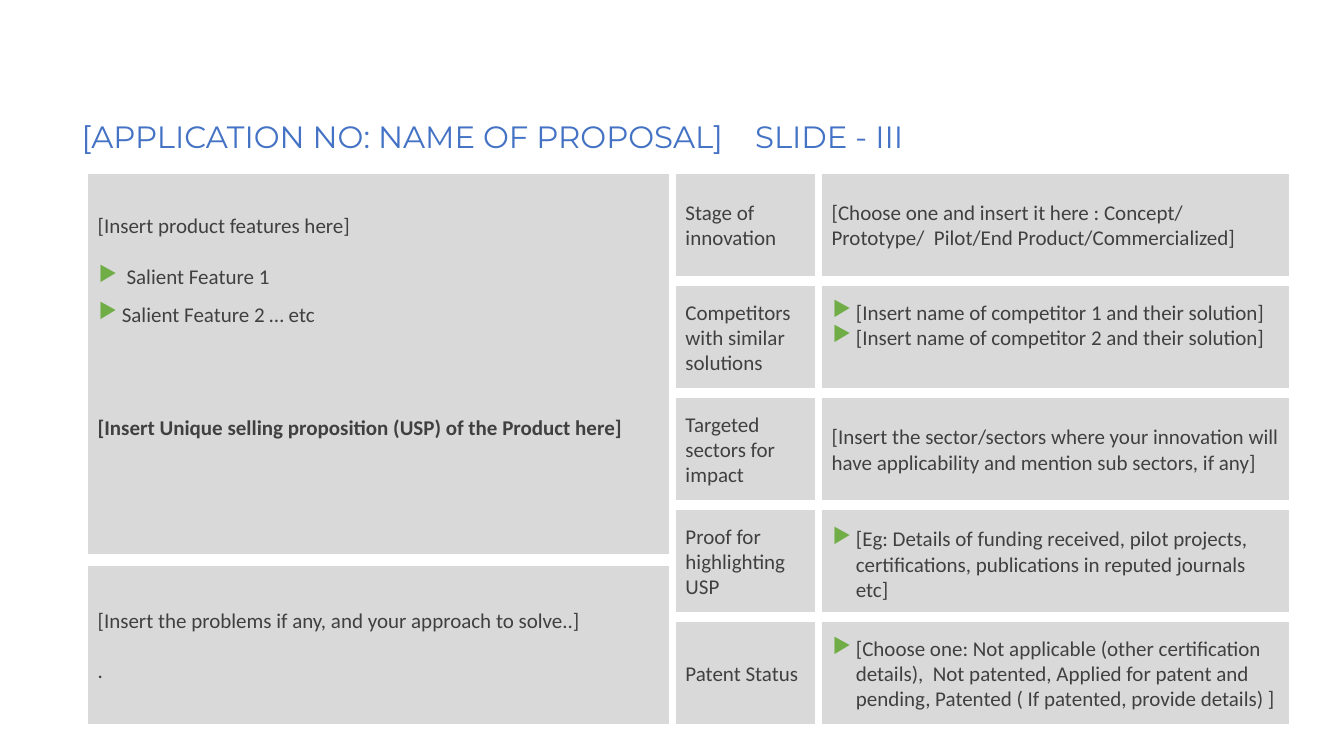
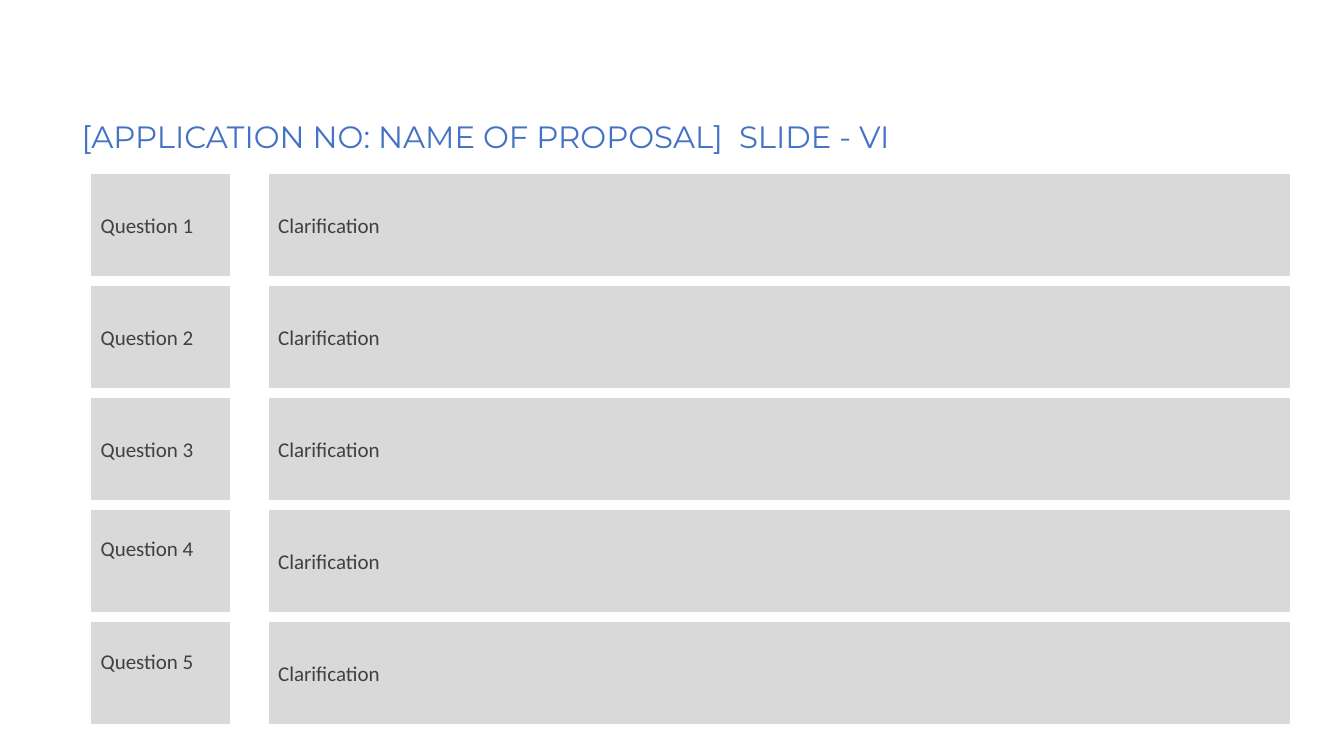
from lxml import etree
from pptx import Presentation
from pptx import util as u
from pptx.dml.color import RGBColor
from pptx.enum import shapes, text
from pptx.oxml.ns import qn

BLUE, GREEN, GREY, INK, WHITE = "4472C4", "70AD47", "D9D9D9", "404040", "FFFFFF"
colour = RGBColor.from_string

# Shared row grid
TOP, BOTTOM, ROW_HEIGHT, ROW_COUNT = 1.72, 7.19, 1.02, 5
PITCH = (BOTTOM - ROW_HEIGHT - TOP) / (ROW_COUNT - 1)
row_tops = [TOP + PITCH * row for row in range(ROW_COUNT)]
LABEL_WIDTH = 1.39
LINE = 0.25  # height of one line of card text


def write(para, words, size=15, face="Calibri", ink=INK, bold=False,
          after=0, spacing=1.0, bullet=False, tab=None):
    para.alignment = text.PP_ALIGN.LEFT
    para.line_spacing = spacing
    para.space_before, para.space_after = u.Pt(0), u.Pt(after)
    span = para.add_run()
    span.text = words
    span.font.size, span.font.name, span.font.bold = u.Pt(size), face, bold
    span.font.color.rgb = colour(ink)
    props = para._p.get_or_add_pPr()
    if bullet:
        props.set("marL", str(u.Inches(0.24)))
        props.set("indent", str(u.Inches(-0.23)))
        tint = etree.SubElement(props, qn("a:buClr"))
        etree.SubElement(tint, qn("a:srgbClr"), val=GREEN)
        etree.SubElement(props, qn("a:buChar"), char="▶")
    if tab:
        stops = etree.SubElement(props, qn("a:tabLst"))
        etree.SubElement(stops, qn("a:tab"), pos=str(u.Inches(tab)), algn="l")


def add_card(page, left, top, width, height, lines, above=0.05, below=0.05):
    box = page.shapes.add_shape(shapes.MSO_SHAPE.RECTANGLE, u.Inches(left), u.Inches(top),
                                u.Inches(width), u.Inches(height))
    box.shadow.inherit = False
    box.fill.solid()
    box.fill.fore_color.rgb = colour(GREY)
    box.line.color.rgb = colour(WHITE)
    box.line.width = u.Pt(0.74)
    frame = box.text_frame
    frame.word_wrap = True
    frame.vertical_anchor = text.MSO_ANCHOR.MIDDLE
    frame.margin_left = frame.margin_right = u.Inches(0.1)
    frame.margin_top, frame.margin_bottom = u.Inches(above), u.Inches(below)
    for number, (words, style) in enumerate(lines):
        para = frame.add_paragraph() if number else frame.paragraphs[0]
        write(para, words, **style)


deck = Presentation()
deck.slide_width, deck.slide_height = u.Inches(13.33), u.Inches(7.5)

# Pages with their titles
pages = []
for slide_name, tab in [("SLIDE - III", 6.68), ("SLIDE - VI", 6.52)]:
    page = deck.slides.add_slide(deck.slide_layouts[5])
    title = page.shapes.title
    title.left, title.top = u.Inches(0.71), u.Inches(1.16)
    title.width, title.height = u.Inches(10.51), u.Inches(0.35)
    title.text_frame.auto_size = text.MSO_AUTO_SIZE.NONE
    title.text_frame.vertical_anchor = text.MSO_ANCHOR.TOP
    write(title.text_frame.paragraphs[0], f"[APPLICATION NO: NAME OF PROPOSAL]\t{slide_name}",
          size=22, face="Montserrat", ink=BLUE, spacing=0.9, tab=tab)
    pages.append(page)
product_page, question_page = pages

# Product features and problems
add_card(product_page, 0.87, TOP, 5.77, 3.78, [
    ("[Insert product features here]", dict(after=18.3)),
    (" Salient Feature 1", dict(bullet=True, after=8.7)),
    ("Salient Feature 2 … etc", dict(bullet=True, after=62.7)),
    ("[Insert Unique selling proposition (USP) of the Product here]", dict(bold=True)),
], below=0.8)
add_card(product_page, 0.87, 5.61, 5.77, 1.58, [
    ("[Insert the problems if any, and your approach to solve..]", dict(after=18.3)),
    (".", {}),
])

# Innovation details: label, lines, bulleted, top inset, bottom inset
details = [
    ("Stage of innovation",
     ["[Choose one and insert it here : Concept/ Prototype/  Pilot/End Product/Commercialized]"],
     False, 0.05, 0.05),
    ("Competitors with similar solutions",
     ["[Insert name of competitor 1 and their solution]",
      "[Insert name of competitor 2 and their solution]"],
     True, 0.05, 0.05 + LINE),
    ("Targeted sectors for impact",
     ["[Insert the sector/sectors where your innovation will have applicability "
      "and mention sub sectors, if any]"],
     False, 0.05, 0.05),
    ("Proof for highlighting USP",
     ["[Eg: Details of funding received, pilot projects, certifications, "
      "publications in reputed journals etc]"],
     True, 0.1, 0.05),
    ("Patent Status",
     ["[Choose one: Not applicable (other certification details),\u00a0 Not patented, "
      "Applied for patent and pending, Patented ( If patented, provide details) ]"],
     True, 0.05, 0.05),
]
for top, (label, lines, bulleted, above, below) in zip(row_tops, details):
    add_card(product_page, 6.7, top, LABEL_WIDTH, ROW_HEIGHT, [(label, {})])
    add_card(product_page, 8.15, top, 4.64, ROW_HEIGHT,
             [(words, dict(bullet=bulleted)) for words in lines], above, below)

# Questions and clarifications; the last two questions sit higher
for number, top in enumerate(row_tops, 1):
    add_card(question_page, 0.9, top, LABEL_WIDTH, ROW_HEIGHT, [(f"Question {number}", {})],
             below=0.05 + LINE if number > 3 else 0.05)
    add_card(question_page, 2.66, top, 10.14, ROW_HEIGHT, [("Clarification", {})])

deck.save("out.pptx")
